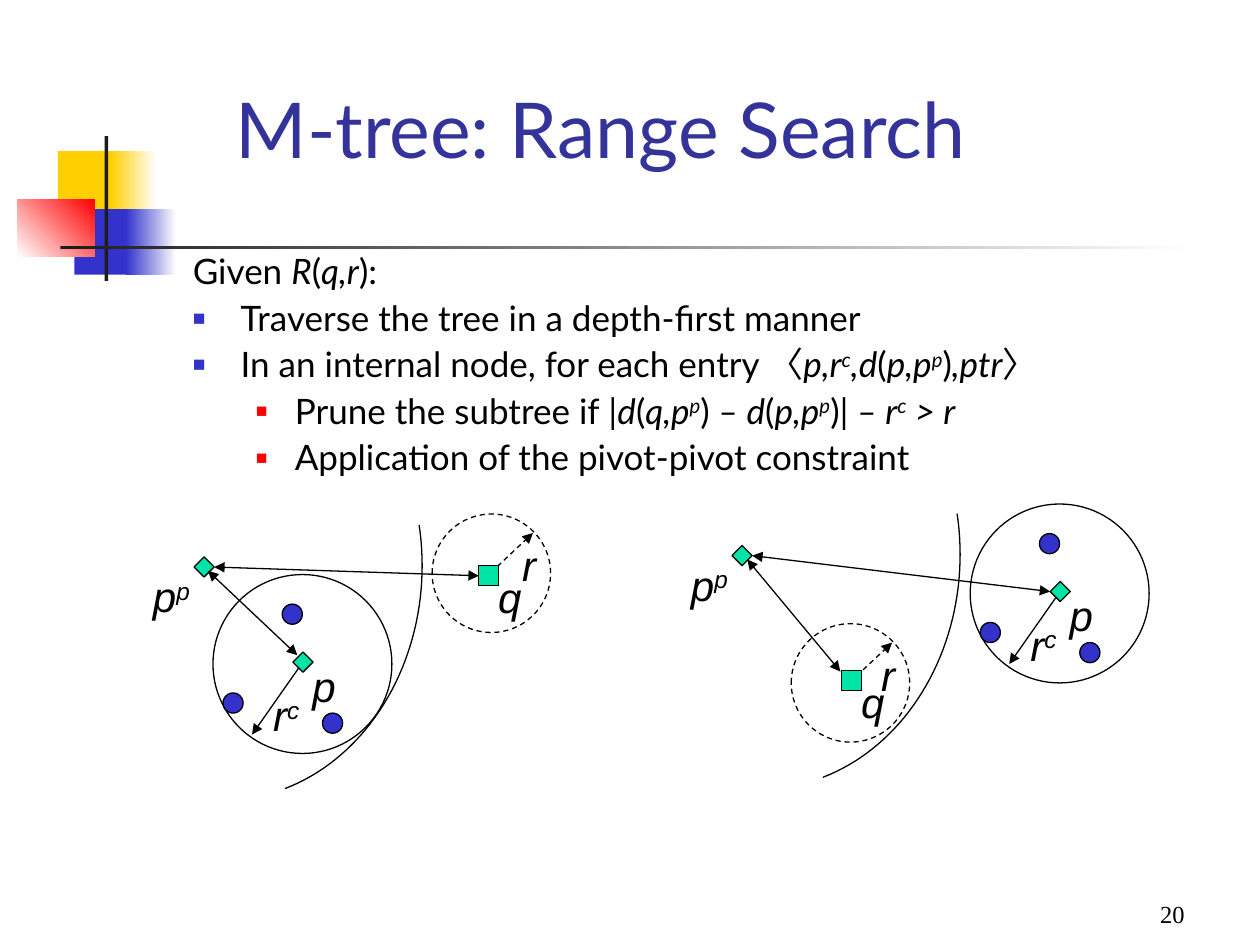
from itertools import groupby
from math import cos, radians, sin
from lxml.etree import SubElement
from pptx import Presentation
from pptx.dml.color import RGBColor
from pptx.enum.dml import MSO_LINE
from pptx.enum.shapes import MSO_CONNECTOR, MSO_SHAPE
from pptx.enum.text import MSO_ANCHOR, MSO_AUTO_SIZE, PP_ALIGN
from pptx.oxml.ns import qn
from pptx.util import Inches, Pt

BLACK = RGBColor(0, 0, 0)
WHITE = RGBColor(255, 255, 255)
GOLD = RGBColor(0xFF, 0xCF, 0x01)
BLUE = RGBColor(0x33, 0x33, 0xCC)
NAVY = RGBColor(0x33, 0x33, 0x99)
RED = RGBColor(255, 0, 0)
DARK = RGBColor(0x1C, 0x1C, 0x1C)
GREEN = RGBColor(0x00, 0xE4, 0xA8)
COLS, ROWS = 100, 75
TOP, LEFT, RIGHT = 0, 1, 3


class Board:
    font = "Lato"
    sign = "Arial"
    thin = Pt(0.75)
    dot = 1.6

    def __init__(self, deck):
        self.slide = deck.slides.add_slide(deck.slide_layouts[1])
        self.shapes = self.slide.shapes
        self.col = deck.slide_width / COLS
        self.row = deck.slide_height / ROWS

    def spot(self, x, y):
        return round(x * self.col), round(y * self.row)

    def place(self, shape, x, y, w, h):
        shape.left, shape.top = self.spot(x, y)
        shape.width, shape.height = self.spot(w, h)

    def rich(self, para, text, size, font):
        italic = sup = False
        marked = []
        for char in text:
            if char == "*":
                italic = not italic
            elif char == "^":
                sup = not sup
            else:
                marked.append((char, (italic, sup, char in "〈〉")))
        for style, group in groupby(marked, key=lambda item: item[1]):
            run = para.add_run()
            run.text = "".join(char for char, _ in group)
            run.font.size = Pt(size)
            run.font.name = self.sign if style[2] else font
            run.font.italic = style[0]
            run.font.color.rgb = BLACK
            if style[1]:
                run._r.get_or_add_rPr().set("baseline", "30000")

    def title(self, text, *box):
        shape = self.shapes.title
        self.place(shape, *box)
        frame = shape.text_frame
        frame.text = text
        frame.auto_size = MSO_AUTO_SIZE.NONE
        frame.vertical_anchor = MSO_ANCHOR.BOTTOM
        para = frame.paragraphs[0]
        para.alignment = PP_ALIGN.LEFT
        font = para.runs[0].font
        font.size, font.name, font.color.rgb = Pt(44), self.font, NAVY

    def bullet(self, para, color, share):
        props = para._p.get_or_add_pPr()
        if color is None:
            SubElement(props, qn("a:buNone"))
            return
        tint = SubElement(props, qn("a:buClr"))
        SubElement(tint, qn("a:srgbClr"), val=str(color))
        SubElement(props, qn("a:buSzPct"), val=str(share * 1000))
        SubElement(props, qn("a:buFont"), typeface=self.sign)
        SubElement(props, qn("a:buChar"), char="■")

    def body(self, items, *box):
        shape = self.slide.placeholders[1]
        self.place(shape, *box)
        frame = shape.text_frame
        frame.auto_size = MSO_AUTO_SIZE.NONE
        for i, (level, color, share, text) in enumerate(items):
            para = frame.add_paragraph() if i else frame.paragraphs[0]
            para.level = level
            para.line_spacing, para.space_before = 0.9, Pt(5)
            props = para._p.get_or_add_pPr()
            margin, hang = ((0.38, 0.38), (0.81, 0.31))[level]
            props.set("marL", str(Inches(margin)))
            props.set("indent", str(-Inches(hang)))
            self.bullet(para, color, share)
            self.rich(para, text, 20, self.font)

    def label(self, text, *box, size=24, font="Arial", align=PP_ALIGN.LEFT):
        shape = self.shapes.add_textbox(0, 0, 0, 0)
        self.place(shape, *box)
        frame = shape.text_frame
        frame.word_wrap = False
        frame.vertical_anchor = MSO_ANCHOR.TOP
        para = frame.paragraphs[0]
        para.alignment = align
        self.rich(para, text, size, font)
        return frame

    def bar(self, box, start, end=None, angle=0):
        shape = self.shapes.add_shape(MSO_SHAPE.RECTANGLE, 0, 0, 0, 0)
        self.place(shape, *box)
        shape.shadow.inherit = False
        shape.line.fill.background()
        if end is None:
            shape.fill.solid()
            shape.fill.fore_color.rgb = start
            return
        shape.fill.gradient()
        shape.fill.gradient_angle = angle
        for stop, color in zip(shape.fill.gradient_stops, (start, end)):
            stop.color.rgb = color

    def pen(self, line, dash=False):
        line.color.rgb = BLACK
        line.width = self.thin
        if dash:
            line.dash_style = MSO_LINE.DASH

    def mark(self, kind, x, y, size=dot, fill=None, dash=False):
        shape = self.shapes.add_shape(kind, 0, 0, 0, 0)
        self.place(shape, x, y, size, size)
        shape.shadow.inherit = False
        self.pen(shape.line, dash)
        if fill is None:
            shape.fill.background()
        else:
            shape.fill.solid()
            shape.fill.fore_color.rgb = fill
        return shape

    def arrow(self, start, end, dash=False, both=False):
        line = self.shapes.add_connector(
            MSO_CONNECTOR.STRAIGHT, *self.spot(*start), *self.spot(*end))
        self.pen(line.line, dash)
        stroke = line.line._get_or_add_ln()
        for tag in ("a:headEnd", "a:tailEnd") if both else ("a:tailEnd",):
            SubElement(stroke, qn(tag), type="triangle")
        SubElement(line._element.spPr, qn("a:effectLst"))
        return line

    def arc(self, x, y, wide=15.75, high=18.6):
        path = self.shapes.build_freeform(*self.spot(x, y))
        points = [self.spot(x + wide * cos(radians(a)), y + high * sin(radians(a)))
                  for a in range(-10, 73, 2)]
        path.move_to(*points[0])
        path.add_line_segments(points[1:], close=False)
        shape = path.convert_to_shape()
        shape.shadow.inherit = False
        shape.fill.background()
        self.pen(shape.line)

    def pivot(self, x, y):
        self.arc(x + 2.35, y + 0.7)
        self.label("*p^p^*", x - 4.25, y + 0.6, 4.9, 5)
        return self.mark(MSO_SHAPE.DIAMOND, x, y, fill=GREEN)

    def ball(self, x, y):
        self.arrow((x + 7.1, y + 7), (x + 3.1, y + 12.7))
        self.mark(MSO_SHAPE.OVAL, x, y, 14.2)
        for dx, dy in ((5.5, 2.35), (8.7, 11), (0.8, 9.4)):
            self.mark(MSO_SHAPE.OVAL, x + dx, y + dy, fill=BLUE)
        self.label("*p*", x + 6.9, y + 6.3, 3.8, 5)
        self.label("*r^c^*", x + 3.8, y + 8.65, 4.1, 5)
        return self.mark(MSO_SHAPE.DIAMOND, x + 6.35, y + 6.15, fill=GREEN)

    def query(self, x, y, dx, dy):
        self.arrow((x + 4.65, y + 4.65), (x + 8, y + 1.5), dash=True)
        self.mark(MSO_SHAPE.OVAL, x, y, 9.4, dash=True)
        self.label("*q*", x + dx + 0.55, y + dy, 3.8, 5)
        self.label("*r*", x + 6.15, y + 1.55, 3.1, 5)
        return self.mark(MSO_SHAPE.RECTANGLE, x + dx, y + dy, fill=GREEN)


def main():
    deck = Presentation()
    deck.slide_width, deck.slide_height = Inches(10), Inches(7.5)
    board = Board(deck)

    board.bar((4.6, 12, 4.8, 5.2), GOLD)
    board.bar((8.8, 12, 3.6, 5.2), GOLD, WHITE)
    board.bar((5.9, 16.6, 4.6, 5.2), BLUE)
    board.bar((10, 16.6, 4, 5.2), BLUE, WHITE)
    board.bar((1.4, 15.8, 6.1, 4.6), WHITE, RED, 45)
    board.bar((8.3, 10.8, 0.3, 11.5), DARK)
    board.bar((4.8, 19.5, 90, 0.3), DARK, WHITE)

    board.title("M-tree: Range Search", 17.7, 1.8, 85.2, 12.5)
    board.body((
        (0, None, 0, "Given *R*(*q,r*):"),
        (0, BLUE, 60, "Traverse the tree in a depth-first manner"),
        (0, BLUE, 60, "In an internal node, for each entry "
                      "〈*p,r^c^,d*(*p,p^p^*)*,ptr*〉"),
        (1, RED, 55, "Prune the subtree if *|d*(*q,p^p^*)* – d*(*p,p^p^*)"
                     "*| – r^c^ > r*"),
        (1, RED, 55, "Application of the pivot-pivot constraint"),
    ), 14.3, 19.7, 73, 23.3)

    near = board.pivot(15.4, 44.2)
    board.ball(16.9, 45.6)
    square = board.query(34.3, 40.8, 3.7, 4.1)
    board.arrow((16.5, 45.3), (23.6, 52), both=True)
    link = board.arrow((17, 45), (38, 45.7), both=True)
    link.begin_connect(near, RIGHT)
    link.end_connect(square, LEFT)

    far = board.pivot(58.1, 43.3)
    centre = board.ball(77, 40)
    board.query(62.8, 49.5, 4, 3.7)
    board.arrow((59.3, 44.4), (66.7, 53.3), both=True)
    link = board.arrow((59.7, 44.1), (83.2, 47.1), both=True)
    link.begin_connect(far, RIGHT)
    link.end_connect(centre, LEFT)

    number = board.label("20", 74.2, 69.2, 20.8, 5, size=14,
                         font="Times New Roman", align=PP_ALIGN.RIGHT)
    number.word_wrap = True
    number.vertical_anchor = MSO_ANCHOR.BOTTOM
    deck.save("out.pptx")


if __name__ == "__main__":
    main()
